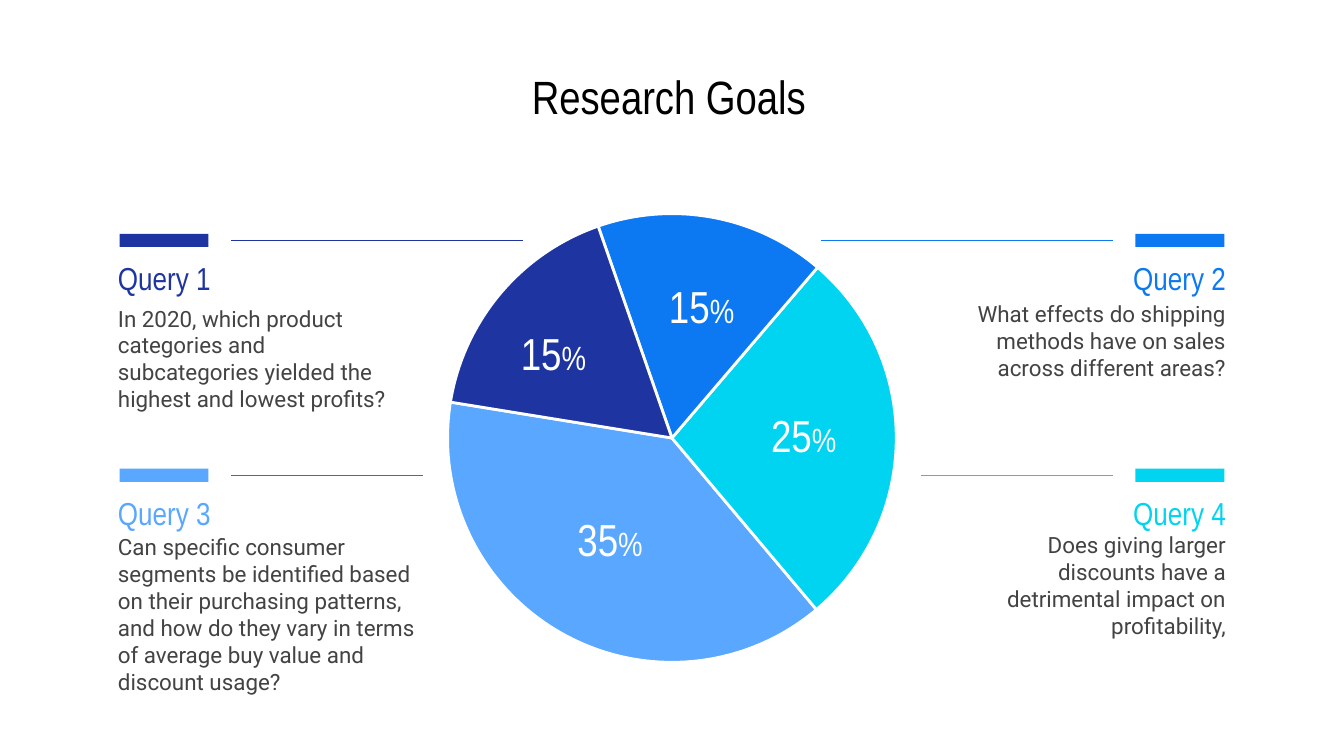
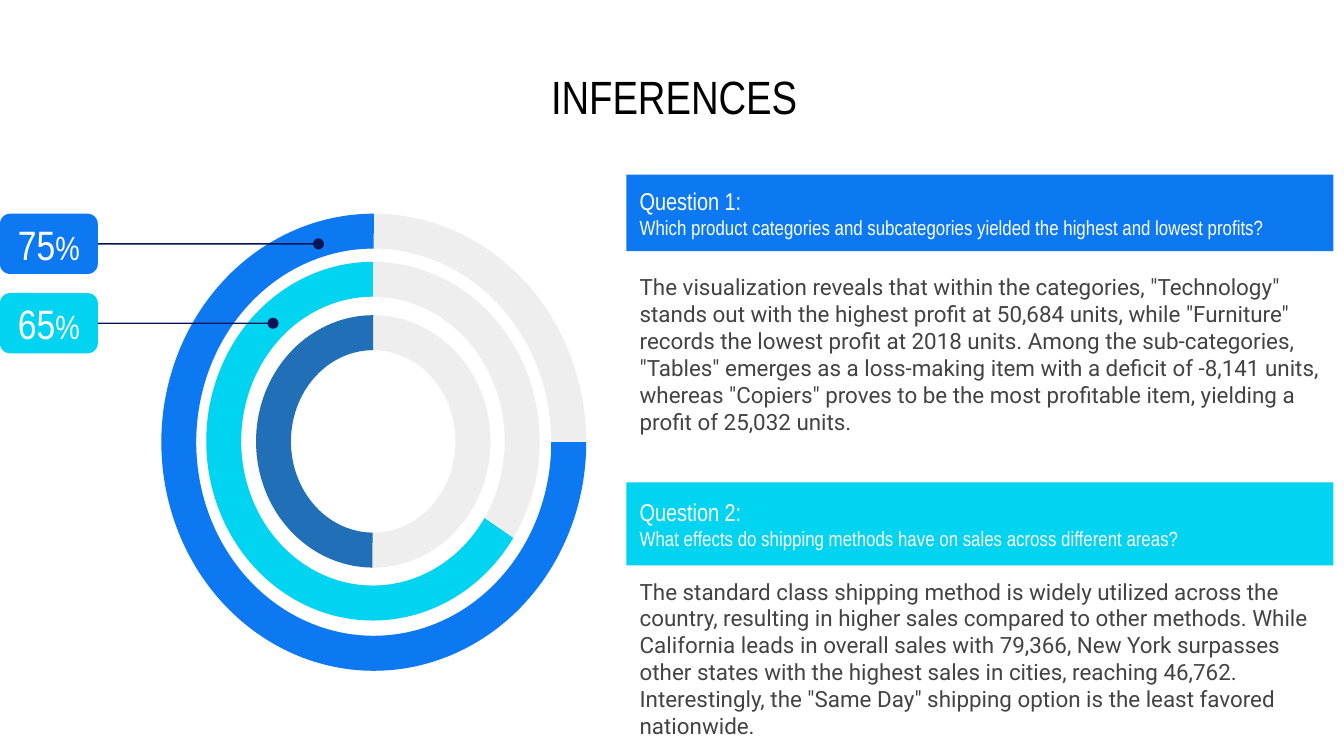
from dataclasses import dataclass

from lxml import etree
from pptx import Presentation
from pptx.dml.color import RGBColor
from pptx.enum.shapes import MSO_CONNECTOR, MSO_SHAPE
from pptx.enum.text import MSO_ANCHOR, MSO_AUTO_SIZE, PP_ALIGN
from pptx.oxml.ns import qn
from pptx.util import Cm, Pt

RECTANGLE = MSO_SHAPE.RECTANGLE
ROUNDED = MSO_SHAPE.ROUNDED_RECTANGLE
PIE = MSO_SHAPE.PIE
DONUT = MSO_SHAPE.DONUT
BLOCK_ARC = MSO_SHAPE.BLOCK_ARC
STRAIGHT = MSO_CONNECTOR.STRAIGHT
LEFT, CENTER, RIGHT = PP_ALIGN.LEFT, PP_ALIGN.CENTER, PP_ALIGN.RIGHT
MIDDLE = MSO_ANCHOR.MIDDLE
NO_FIT = MSO_AUTO_SIZE.NONE


@dataclass(frozen=True)
class Theme:
    heading_font: str = "Arial Narrow"
    body_font: str = "Roboto"
    black: str = "000000"
    white: str = "FFFFFF"
    body: str = "434343"
    navy: str = "1E35A1"
    blue: str = "0C79F3"
    sky: str = "59A7FF"
    cyan: str = "00D4F0"
    steel: str = "2170B7"
    track: str = "EEEEEE"
    callout: str = "071554"
    title_size: float = 25
    share_size: float = 24
    badge_size: float = 22
    percent_size: float = 18
    query_size: float = 17
    question_size: float = 13
    body_size: float = 12
    detail_size: float = 11


theme = Theme()
SLIDE_WIDTH = 25.4
FULL_TURN = 216
TITLE_BOX = (1.35, 1.14, 22.78, 1.35)


def write(shape, paragraphs, font=theme.heading_font, color=theme.white, align=LEFT):
    frame = shape.text_frame
    frame.word_wrap = True
    frame.auto_size = NO_FIT
    frame.vertical_anchor = MIDDLE
    frame.margin_left = frame.margin_right = Cm(0.25)
    frame.margin_top = frame.margin_bottom = Cm(0.25)
    for index, runs in enumerate(paragraphs):
        paragraph = frame.add_paragraph() if index else frame.paragraphs[0]
        paragraph.alignment = align
        for text, size in runs:
            run = paragraph.add_run()
            run.text = text
            run.font.name = font
            run.font.size = Pt(size)
            run.font.color.rgb = RGBColor.from_string(color)


def draw(slide, kind, box, fill, adjustments=()):
    shape = slide.shapes.add_shape(kind, *map(Cm, box))
    shape.shadow.inherit = False
    shape.fill.solid()
    shape.fill.fore_color.rgb = RGBColor.from_string(fill)
    shape.line.fill.background()
    for index, value in enumerate(adjustments):
        shape.adjustments[index] = value
    return shape


presentation = Presentation()
presentation.slide_width = Cm(SLIDE_WIDTH)
presentation.slide_height = Cm(14.29)
title_layout = presentation.slide_layouts[5]

slides = []
for title in ("Research Goals ", "INFERENCES"):
    slide = presentation.slides.add_slide(title_layout)
    heading = slide.shapes.title
    heading.left, heading.top, heading.width, heading.height = map(Cm, TITLE_BOX)
    write(heading, [[(title, theme.title_size)]], color=theme.black, align=CENTER)
    slides.append(slide)
goals, inferences = slides

slices = [
    (49.9, 189.2, theme.sky),
    (310.5, 49.9, theme.cyan),
    (250.8, 310.5, theme.blue),
    (189.2, 250.8, theme.navy),
]
for start, end, color in slices:
    pie_slice = draw(goals, PIE, (8.46, 4.04, 8.48, 8.48), color,
                     (start / 360 * FULL_TURN, end / 360 * FULL_TURN))
    pie_slice.line.color.rgb = RGBColor.from_string(theme.white)
    pie_slice.line.width = Pt(1.5)

shares = [("35", 10.26, 9.63), ("25", 13.92, 7.67), ("15", 11.99, 5.23), ("15", 9.19, 6.12)]
for share, left, top in shares:
    label = goals.shapes.add_textbox(Cm(left), Cm(top), Cm(2.54), Cm(1.09))
    write(label, [[(share, theme.share_size), ("%", theme.percent_size)]], align=CENTER)

queries = [
    ("Query 1", LEFT, 4.42, 9.88, 5.72, 6.05, theme.navy, theme.navy,
     "In 2020, which product categories and subcategories yielded the highest and lowest profits?"),
    ("Query 3", LEFT, 8.86, 8, 10.55, 6.27, theme.sky, theme.blue,
     "Can specific consumer segments be identified based on their purchasing patterns, "
     "and how do they vary in terms of average buy value and discount usage?"),
    ("Query 2", RIGHT, 4.42, 9.88, 5.38, 5.23, theme.blue, theme.blue,
     "What effects do shipping methods have on sales across different areas?"),
    ("Query 4", RIGHT, 8.86, 8, 10.01, 5.23, theme.cyan, theme.cyan,
     "Does giving larger discounts have a detrimental impact on profitability,"),
]
for name, align, top, reach, body_top, body_width, color, line_color, question in queries:
    mirrored = align == RIGHT
    parts = [
        ((1.98, top + 0.46, 5.23, 0.74), name, theme.query_size, theme.heading_font, color),
        ((1.98, body_top, body_width, 2.11), question, theme.body_size, theme.body_font, theme.body),
    ]
    for (left, box_top, width, height), text, size, font, text_color in parts:
        if mirrored:
            left = SLIDE_WIDTH - left - width
        text_box = goals.shapes.add_textbox(Cm(left), Cm(box_top), Cm(width), Cm(height))
        write(text_box, [[(text, size)]], font=font, color=text_color, align=align)
    bar_left = SLIDE_WIDTH - 2.26 - 1.68 if mirrored else 2.26
    draw(goals, RECTANGLE, (bar_left, top, 1.68, 0.25), color)
    ends = (SLIDE_WIDTH - reach, SLIDE_WIDTH - 4.37) if mirrored else (4.37, reach)
    line_top = Cm(top + 0.13)
    connector = goals.shapes.add_connector(STRAIGHT, Cm(ends[0]), line_top, Cm(ends[1]), line_top)
    connector.line.color.rgb = RGBColor.from_string(line_color)

findings = [
    ("Question 1:",
     "Which product categories and subcategories yielded the highest and lowest profits?",
     3.3, 1.45, 4.85, 3.68, theme.blue,
     'The visualization reveals that within the categories, "Technology" stands out with the '
     'highest profit at 50,684 units, while "Furniture" records the lowest profit at 2018 units. '
     'Among the sub-categories, "Tables" emerges as a loss-making item with a deficit of -8,141 '
     'units, whereas "Copiers" proves to be the most profitable item, yielding a profit of '
     '25,032 units.'),
    ("Question 2:",
     "What effects do shipping methods have on sales across different areas?",
     9.12, 1.57, 10.82, 3.25, theme.cyan,
     'The standard class shipping method is widely utilized across the country, resulting in '
     'higher sales compared to other methods. While California leads in overall sales with '
     '79,366, New York surpasses other states with the highest sales in cities, reaching 46,762. '
     'Interestingly, the "Same Day" shipping option is the least favored nationwide.'),
]
for name, question, band_top, band_height, body_top, body_height, color, answer in findings:
    body = inferences.shapes.add_textbox(Cm(11.84), Cm(body_top), Cm(13.36), Cm(body_height))
    write(body, [[(answer, theme.body_size)]], font=theme.body_font, color=theme.body)
    band = draw(inferences, RECTANGLE, (11.84, band_top, 13.36, band_height), color)
    write(band, [[(name, theme.question_size)], [(question, theme.detail_size)]])

RING_THICKNESS = 0.66
rings = [
    ((3.05, 4.04, 8.03, 8.64), 0, theme.blue),
    ((3.9, 4.95, 6.3, 6.78), 34.6, theme.cyan),
    ((4.84, 5.96, 4.43, 4.77), 90.4, theme.steel),
]
for box, start, color in rings:
    thickness = RING_THICKNESS / box[2]
    draw(inferences, DONUT, box, theme.track, (thickness,))
    draw(inferences, BLOCK_ARC, box, color,
         (start / 360 * FULL_TURN, 270 / 360 * FULL_TURN, thickness))

badges = [("75", 4.04, 6.02, theme.blue), ("65", 5.54, 5.16, theme.cyan)]
for value, top, reach, color in badges:
    badge = draw(inferences, ROUNDED, (0, top, 1.85, 1.14), color, (0.17,))
    write(badge, [[(value, theme.badge_size), ("%", theme.percent_size)]], align=CENTER)
    middle = Cm(top + 0.57)
    connector = inferences.shapes.add_connector(STRAIGHT, Cm(1.85), middle, Cm(reach), middle)
    connector.begin_connect(badge, 3)
    connector.line.color.rgb = RGBColor.from_string(theme.callout)
    etree.SubElement(connector.line._get_or_add_ln(), qn("a:tailEnd"), type="oval")

for slide in slides:
    for line_element in slide.shapes._spTree.findall(qn("p:cxnSp")):
        properties = line_element.find(qn("p:spPr"))
        properties.find(qn("a:ln")).set("w", str(Pt(0.75)))
        etree.SubElement(properties, qn("a:effectLst"))

presentation.save("out.pptx")
